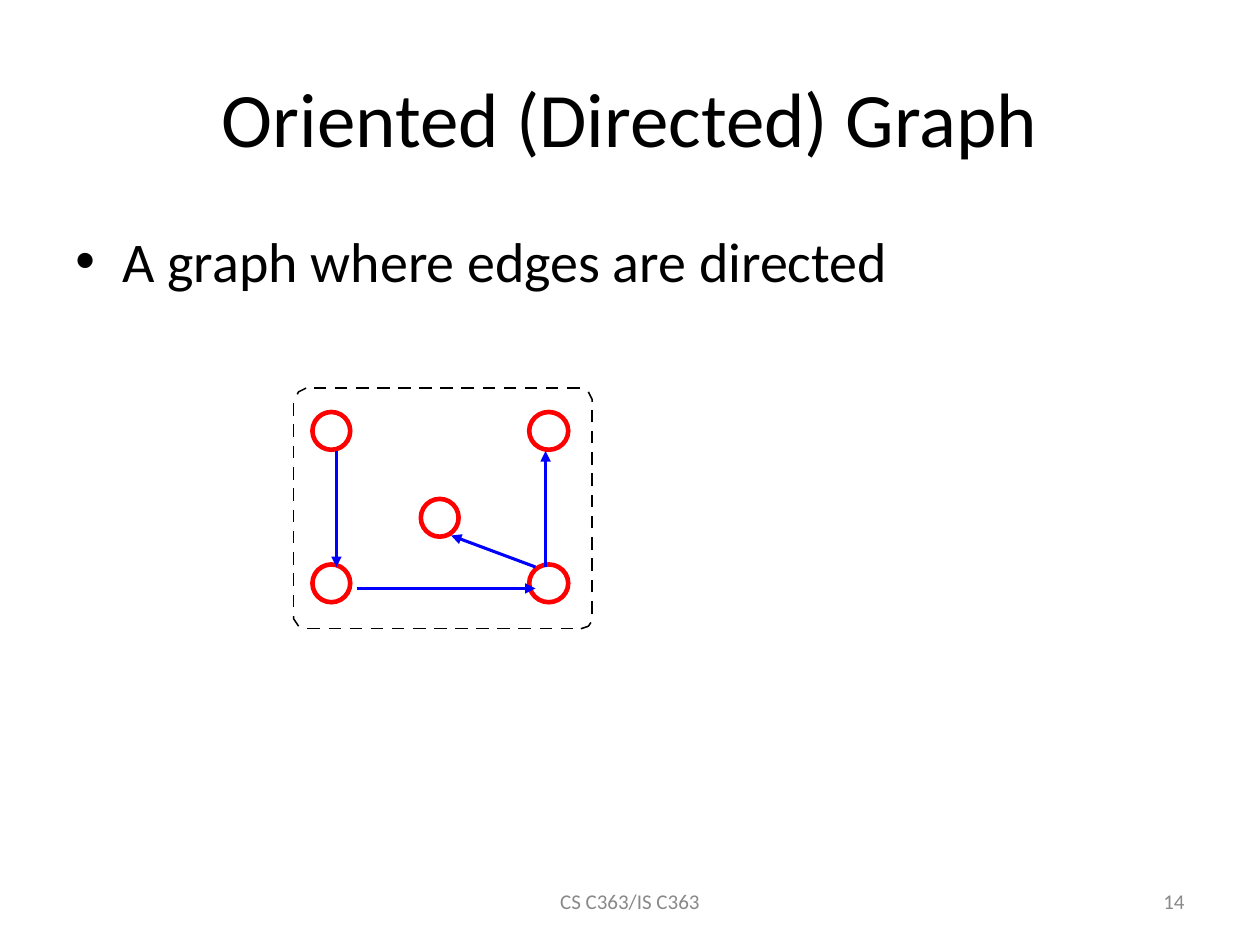
import dataclasses

import lxml.etree
import pptx
import pptx.dml.color
import pptx.enum.shapes
import pptx.enum.text
import pptx.oxml.ns
import pptx.util
from pptx.util import Inches

ALIGN = pptx.enum.text.PP_ALIGN
ANCHOR = pptx.enum.text.MSO_ANCHOR
SHAPE = pptx.enum.shapes.MSO_SHAPE


@dataclasses.dataclass(frozen=True)
class Theme:
    """Colours, font and sizes of the slide."""
    font: str = "Calibri"
    ink: str = "000000"
    muted: str = "898989"
    paper: str = "FFFFFF"
    node: str = "FF0000"
    edge: str = "0000FF"
    title_size: float = 44
    body_size: float = 32
    footer_size: float = 12
    frame_width: float = 0.88
    node_width: float = 2.64
    edge_width: float = 1.75
    strong_edge_width: float = 2


THEME = Theme()


def rgb(value):
    """Return a colour object for a hex value."""
    return pptx.dml.color.RGBColor.from_string(value)


def add_element(parent, tag, **attributes):
    """Append a DrawingML element to parent and return it."""
    return lxml.etree.SubElement(parent, pptx.oxml.ns.qn(tag), **attributes)


def add_text(slide, box, text, size, color, align, anchor=ANCHOR.MIDDLE, bullet=False):
    """Place one paragraph of text in box, with a hanging bullet if asked."""
    frame = slide.shapes.add_textbox(*map(Inches, box)).text_frame
    frame.word_wrap = True
    frame.vertical_anchor = anchor
    frame.text = text
    paragraph = frame.paragraphs[0]
    paragraph.alignment = align
    if bullet:
        hang = Inches(3 / 8)
        properties = paragraph._p.get_or_add_pPr()
        properties.set("marL", str(hang))
        properties.set("indent", str(-hang))
        add_element(properties, "a:buFont", typeface="Arial")
        add_element(properties, "a:buChar", char="•")
    font = paragraph.runs[0].font
    font.name = THEME.font
    font.size = pptx.util.Pt(size)
    font.color.rgb = rgb(color)


def set_line(line, color, width):
    """Give a line its colour and width in points."""
    line.color.rgb = rgb(color)
    line.width = pptx.util.Pt(width)


def add_segment(slide, start, end, color, width):
    """Draw a straight line and return it."""
    segment = slide.shapes.add_connector(
        pptx.enum.shapes.MSO_CONNECTOR.STRAIGHT, *map(Inches, start + end))
    set_line(segment.line, color, width)
    add_element(segment._element.spPr, "a:effectLst")
    return segment


def add_corner(slide, points):
    """Draw one bent dash at a corner of the frame."""
    first, *rest = [tuple(map(Inches, point)) for point in points]
    builder = slide.shapes.build_freeform(*first)
    builder.add_line_segments(rest, close=False)
    corner = builder.convert_to_shape()
    corner.shadow.inherit = False
    corner.fill.background()
    set_line(corner.line, THEME.ink, THEME.frame_width)


def add_frame(slide, box):
    """Draw the frame round the graph as evenly spaced dashes and bent corners."""
    left, top, width, height = box
    right, bottom = left + width, top + height
    dash, pitch = 0.1, 0.17
    across, down = (width - 0.36) / 12, (height - 0.39) / 9
    corners = (
        ((left + 0.1, top), (left + 0.04, top + 0.03), (left + 0.03, top + 0.05)),
        ((left, bottom - 0.1), (left, bottom - 0.08), (left + 0.04, bottom - 0.02)),
        ((right - 0.09, bottom), (right - 0.03, bottom - 0.02), (right - 0.01, bottom - 0.05)),
        ((right, top + 0.11), (right, top + 0.09), (right - 0.03, top + 0.03)),
    )
    for points in corners:
        add_corner(slide, points)
    dashes = []
    for step in range(13):
        x = left + 0.11 + across * step
        dashes.append(((x, bottom), (x + dash, bottom)))
        x = right - 0.1 - across * step
        dashes.append(((x, top), (x - dash, top)))
    for step in range(10):
        y = top + 0.12 + down * step
        dashes.append(((left, y), (left, y + dash)))
        y = bottom - 0.12 - down * step
        dashes.append(((right, y), (right, y - dash)))
    for start, end in dashes:
        add_segment(slide, start, end, THEME.ink, THEME.frame_width)


def add_node(slide, left, top, width, height):
    """Draw one vertex of the graph."""
    node = slide.shapes.add_shape(SHAPE.OVAL, *map(Inches, (left, top, width, height)))
    node.shadow.inherit = False
    node.fill.solid()
    node.fill.fore_color.rgb = rgb(THEME.paper)
    set_line(node.line, THEME.node, THEME.node_width)


def add_edge(slide, start, end, width):
    """Draw one directed edge, with its arrowhead at the end point."""
    edge = add_segment(slide, start, end, THEME.edge, width)
    add_element(edge.line._get_or_add_ln(), "a:tailEnd", type="triangle")


def add_graph(slide, box):
    """Draw the framed directed graph inside box."""
    left, top = box[:2]
    add_frame(slide, box)
    near, middle, far = (0.15 + 0.86 * step for step in range(3))
    upper, center, lower = 0.19, 0.88, 1.4
    nodes = (
        (far, lower, 0.31), (near, lower, 0.3), (near, upper, 0.3),
        (middle, center, 0.3), (far, upper, 0.31),
    )
    for x, y, width in nodes:
        add_node(slide, left + x, top + y, width, 0.3)
    edges = (
        ((0.34, 0.5), (0.34, 1.42), THEME.edge_width),
        ((0.5, 1.59), (1.92, 1.59), THEME.edge_width),
        ((1.92, 1.42), (1.25, 1.17), THEME.edge_width),
        ((2.0, 1.42), (2.0, 0.5), THEME.strong_edge_width),
    )
    for start, end, width in edges:
        add_edge(slide, *((left + x, top + y) for x, y in (start, end)), width)


def add_footer(slide, box):
    """Place the course code and the slide number in the footer band."""
    left, top, width, height = box
    add_text(slide, (left + width - 2.33, top, 2.33, height), "14",
             THEME.footer_size, THEME.muted, ALIGN.RIGHT)
    add_text(slide, (left + (width - 3.17) / 2, top, 3.17, height), "CS C363/IS C363",
             THEME.footer_size, THEME.muted, ALIGN.CENTER)


def main():
    """Build the slide and save it."""
    deck = pptx.Presentation()
    deck.slide_width, deck.slide_height = Inches(10), Inches(7.5)
    slide = deck.slides.add_slide(deck.slide_layouts[6])
    add_text(slide, (0.5, 0.3, 9, 1.25), "Oriented (Directed) Graph",
             THEME.title_size, THEME.ink, ALIGN.CENTER)
    add_text(slide, (0.5, 1.75, 9, 4.95), "A graph where edges are directed",
             THEME.body_size, THEME.ink, ALIGN.LEFT, ANCHOR.TOP, bullet=True)
    add_graph(slide, (2.33, 3.08, 2.37, 1.91))
    add_footer(slide, (0.5, 6.95, 9, 0.4))
    deck.save("out.pptx")


if __name__ == "__main__":
    main()
